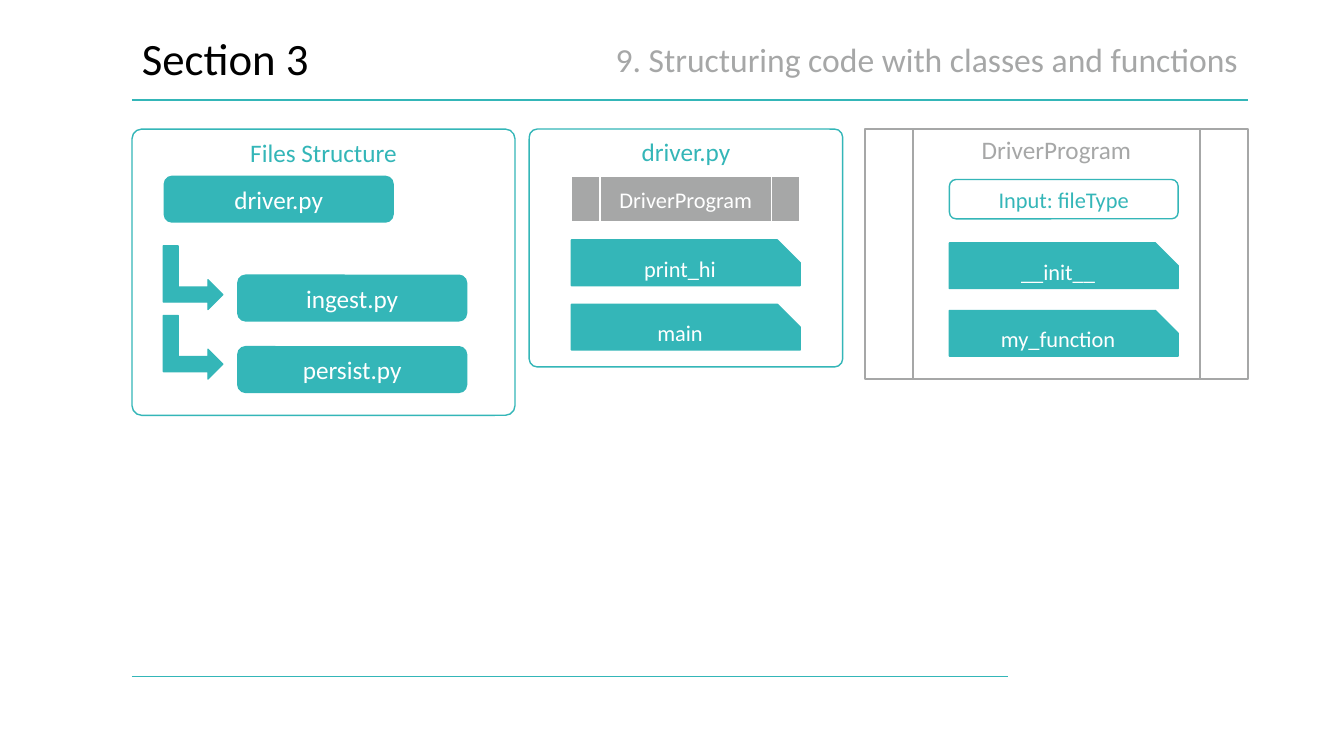
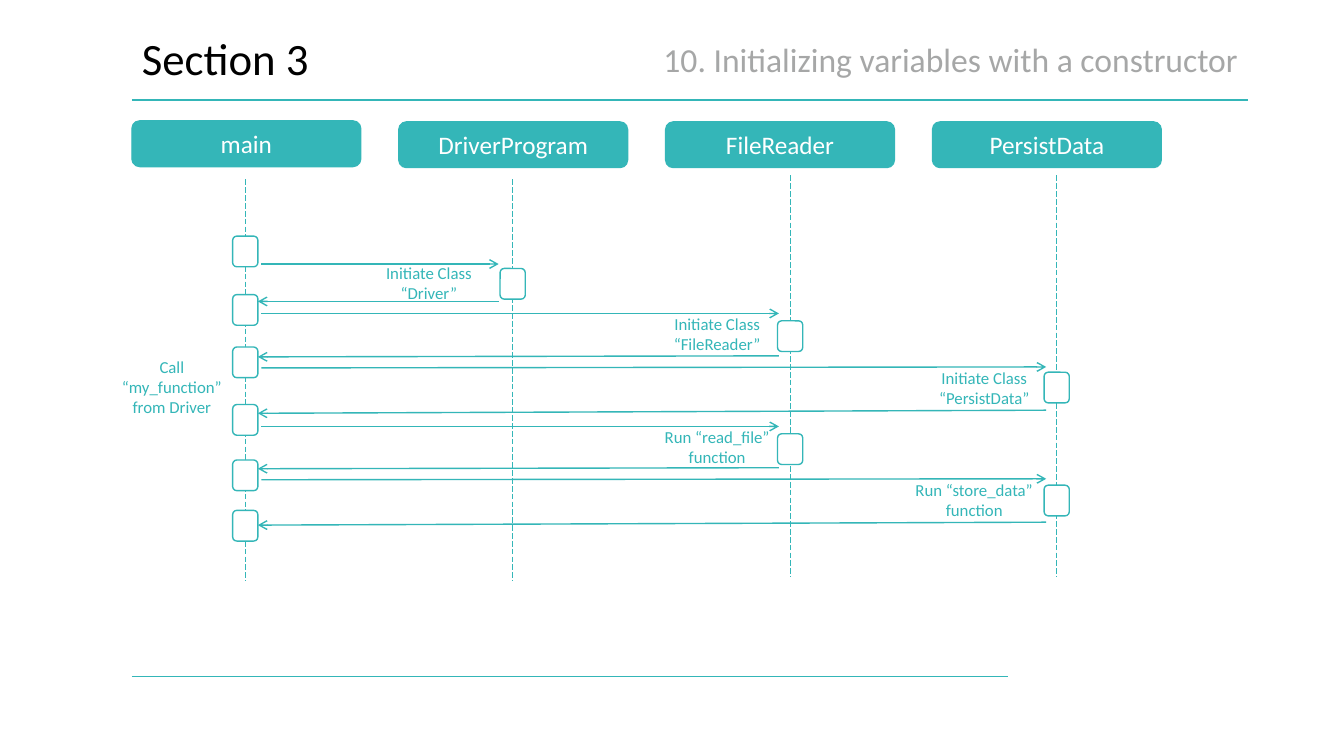
"""Build two course slides: a code structure overview and a sequence diagram."""
from lxml import etree
from pptx import Presentation
from pptx.dml.color import RGBColor
from pptx.enum.dml import MSO_LINE
from pptx.enum.shapes import MSO_CONNECTOR, MSO_SHAPE
from pptx.enum.text import MSO_ANCHOR, PP_ALIGN
from pptx.oxml.ns import qn
from pptx.util import Pt

ROUNDED = MSO_SHAPE.ROUNDED_RECTANGLE
SNIPPED = MSO_SHAPE.SNIP_1_RECTANGLE
PROCESS = MSO_SHAPE.FLOWCHART_PREDEFINED_PROCESS
BENT_ARROW = MSO_SHAPE.BENT_UP_ARROW
STRAIGHT = MSO_CONNECTOR.STRAIGHT
LONG_DASH = MSO_LINE.LONG_DASH
LEFT, CENTER, RIGHT = PP_ALIGN.LEFT, PP_ALIGN.CENTER, PP_ALIGN.RIGHT
TOP, MIDDLE = MSO_ANCHOR.TOP, MSO_ANCHOR.MIDDLE

COLORS = {"teal": "34B6B8", "gray": "A6A7A7", "white": "FFFFFF", "black": "000000"}
FONT = "Calibri"
MARGIN_LEFT, MARGIN_RIGHT = 94.3, 891.4
BOX_WIDTH, BOX_HEIGHT = 163.4, 32.6

SECTION = "Section 3"
STRUCTURE_TOPIC = "9. Structuring code with classes and functions"
SEQUENCE_TOPIC = "10. Initializing variables with a constructor"

PANEL_TOP = 92.2
PANELS = [
    ("Files Structure", MARGIN_LEFT, 273.6, 204.5, ROUNDED, "teal", 1),
    ("driver.py", 378, 223.9, 169.9, ROUNDED, "teal", 1),
    ("DriverProgram", 617.8, 273.6, 178.6, PROCESS, "gray", 1.5),
]
FILES = [("driver.py", 117.4, 126), ("ingest.py", 169.9, 196.6), ("persist.py", 169.9, 247.7)]
FILE_ARROW_TOPS = [177.1, 226.8]
DRIVER_LEFT, CLASS_LEFT = 408.2, 678.2
FUNCTIONS = [
    ("print_hi", DRIVER_LEFT, 171.4),
    ("main", DRIVER_LEFT, 217.4),
    ("__init__", CLASS_LEFT, 173.5),
    ("my_function", CLASS_LEFT, 221.8),
]

HEAD_STEP = 190.6
LIFELINE_LENGTH = 286.6
PARTICIPANTS = [
    {"name": "main", "top": 86.4, "x": 175.2, "line_top": 128.2},
    {"name": "DriverProgram", "top": 87.1, "x": 366.2, "line_top": 128.2, "gap": 10},
    {"name": "FileReader", "top": 87.1, "x": 564.4, "line_top": 125.3, "gap": 8},
    {"name": "PersistData", "top": 87.1, "x": 754.8, "line_top": 125.3, "gap": 7.5},
]
ACTIVATION_WIDTH, ACTIVATION_HEIGHT = 18, 21.9
MAIN_ACTIVATIONS = [179.6, 221.4, 258.8, 299.9, 339.5, 375.5]
CALLS = [
    {"to": 1, "out": (188.6, 188.6), "active": 202.7, "back": (215.3, 215.3),
     "label": "Initiate Class “Driver”", "place": (247.7, 184.3, 117.4)},
    {"to": 2, "out": (223.9, 223.9), "active": 240.1, "back": (254.2, 254.9),
     "label": "Initiate Class “FileReader”", "place": (463.7, 220.3, 97.2)},
    {"to": 3, "out": (262.8, 262.1), "active": 276.8, "back": (293, 295.2),
     "label": "Initiate Class “PersistData”", "place": (654.5, 259.2, 97.2)},
    {"to": 2, "out": (304.6, 304.6), "active": 320.8, "back": (334.1, 334.8),
     "label": "Run “read_file”\nfunction", "place": (463.7, 301, 97.2)},
    {"to": 3, "out": (342.7, 342), "active": 357.5, "back": (373, 375.1),
     "label": "Run “store_data”\nfunction", "place": (639.4, 339.1, 113)},
]
SIDE_NOTE = ("Call “my_function” from Driver", (79.2, 251.3, 87.1))


def rgb(name):
    return RGBColor.from_string(COLORS[name])


def write(shape, text, size, color, align=CENTER, anchor=MIDDLE, spacing=None):
    frame = shape.text_frame
    frame.word_wrap = True
    frame.vertical_anchor = anchor
    frame.text = text
    for paragraph in frame.paragraphs:
        paragraph.alignment = align
        paragraph.line_spacing = spacing
        for run in paragraph.runs:
            run.font.name = FONT
            run.font.size = Pt(size)
            run.font.color.rgb = rgb(color)


def add_text(slide, text, left, top, width, height, size, color, **style):
    box = slide.shapes.add_textbox(Pt(left), Pt(top), Pt(width), Pt(height))
    write(box, text, size, color, **style)


def add_shape(slide, kind, left, top, width, height, fill="teal", line="teal", weight=1):
    shape = slide.shapes.add_shape(kind, Pt(left), Pt(top), Pt(width), Pt(height))
    shape.shadow.inherit = False
    if fill:
        shape.fill.solid()
        shape.fill.fore_color.rgb = rgb(fill)
    else:
        shape.fill.background()
    shape.line.color.rgb = rgb(line)
    shape.line.width = Pt(weight)
    return shape


def add_box(slide, text, left, top, kind=ROUNDED, size=18):
    box = add_shape(slide, kind, left, top, BOX_WIDTH, BOX_HEIGHT)
    write(box, text, size, "white")
    return box


def add_line(slide, start, end, weight=1, dash=None, arrow=False):
    line = slide.shapes.add_connector(STRAIGHT, *(Pt(value) for value in (*start, *end)))
    line.line.color.rgb = rgb("teal")
    line.line.width = Pt(weight)
    if dash:
        line.line.dash_style = dash
    if arrow:
        etree.SubElement(line.line._get_or_add_ln(), qn("a:tailEnd"), type="arrow")
    etree.SubElement(line._element.spPr, qn("a:effectLst"))


def add_slide(presentation, topic):
    slide = presentation.slides.add_slide(presentation.slide_layouts[6])
    width = MARGIN_RIGHT - MARGIN_LEFT
    add_line(slide, (MARGIN_LEFT, 71.3), (MARGIN_RIGHT, 71.3))
    add_line(slide, (MARGIN_LEFT, 483.1), (720, 483.1))
    add_text(slide, SECTION, MARGIN_LEFT, 20.9, width, 44.6, 32, "black",
             align=LEFT, spacing=0.9)
    add_text(slide, topic, MARGIN_RIGHT - 481.7, 27.4, 481.7, 30.2, 24, "gray",
             align=RIGHT, anchor=TOP, spacing=0.9)
    return slide


def build_structure(presentation):
    slide = add_slide(presentation, STRUCTURE_TOPIC)
    for name, left, width, height, kind, color, weight in PANELS:
        panel = add_shape(slide, kind, left, PANEL_TOP, width, height, None, color, weight)
        if kind == ROUNDED:
            panel.adjustments[0] = 0.034
        write(panel, name, 18, color, anchor=TOP)
    for name, left, top in FILES:
        add_box(slide, name, left, top)
    for top in FILE_ARROW_TOPS:
        add_shape(slide, BENT_ARROW, 115.2, top, 45.4, 42.5).rotation = 90
    for name, left, top in FUNCTIONS:
        add_box(slide, name, left, top, SNIPPED, 16).adjustments[0] = 0.5
    driver_class = add_shape(slide, PROCESS, DRIVER_LEFT, 126, BOX_WIDTH, BOX_HEIGHT,
                             "gray", "white")
    write(driver_class, "DriverProgram", 16, "white")
    class_input = add_shape(slide, ROUNDED, CLASS_LEFT, 128.2, BOX_WIDTH, 28.1, "white")
    write(class_input, "Input: fileType", 16, "teal")


def add_activation(slide, x, y):
    add_shape(slide, ROUNDED, x - ACTIVATION_WIDTH / 2, y - ACTIVATION_HEIGHT / 2,
              ACTIVATION_WIDTH, ACTIVATION_HEIGHT, "white")


def add_label(slide, text, place, height=36):
    add_text(slide, text, *place, height, 12, "teal", anchor=TOP)


def build_sequence(presentation):
    slide = add_slide(presentation, SEQUENCE_TOPIC)
    for index, participant in enumerate(PARTICIPANTS):
        x, top = participant["x"], participant["line_top"]
        add_box(slide, participant["name"], MARGIN_LEFT + index * HEAD_STEP, participant["top"])
        add_line(slide, (x, top), (x, top + LIFELINE_LENGTH), 0.5, LONG_DASH)
    main_x = PARTICIPANTS[0]["x"]
    for y in MAIN_ACTIVATIONS:
        add_activation(slide, main_x, y)
    for call in CALLS:
        target = PARTICIPANTS[call["to"]]
        reach = target["x"] - target["gap"]
        out_start, out_end = call["out"]
        back_start, back_end = call["back"]
        add_activation(slide, target["x"], call["active"])
        add_line(slide, (main_x + 11.5, out_start), (reach, out_end), arrow=True)
        add_line(slide, (reach, back_start), (main_x + 9, back_end), arrow=True)
        add_label(slide, call["label"], call["place"])
    add_label(slide, *SIDE_NOTE, height=51.1)


def main():
    presentation = Presentation()
    presentation.slide_width, presentation.slide_height = Pt(960), Pt(540)
    build_structure(presentation)
    build_sequence(presentation)
    presentation.save("out.pptx")


if __name__ == "__main__":
    main()
